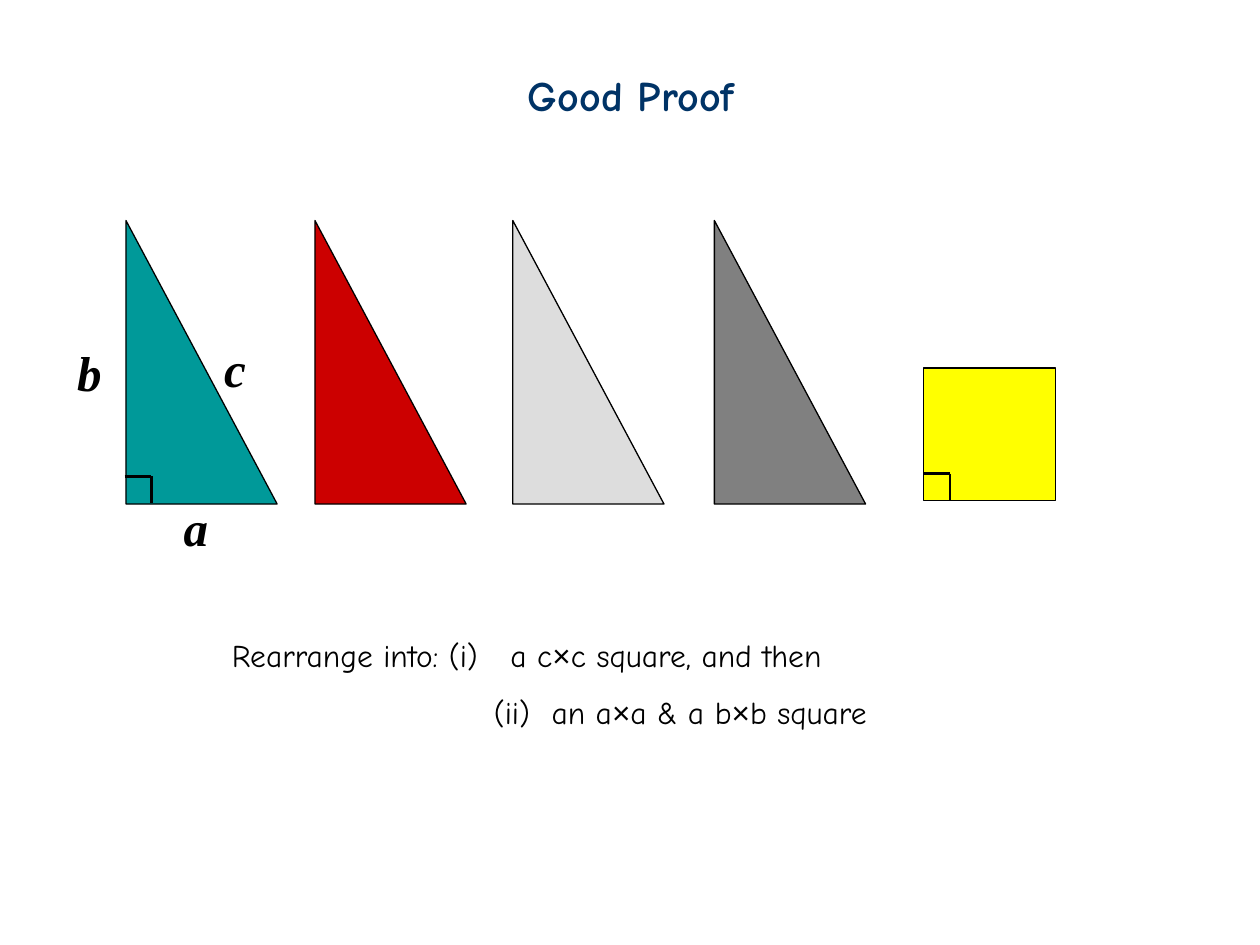
from lxml import etree
from pptx import Presentation
from pptx.dml.color import RGBColor
from pptx.enum.shapes import MSO_CONNECTOR, MSO_SHAPE
from pptx.enum.text import MSO_ANCHOR, MSO_AUTO_SIZE, PP_ALIGN
from pptx.oxml.ns import qn
from pptx.util import Inches, Pt

LINE = MSO_CONNECTOR.STRAIGHT
TRI, RECT = MSO_SHAPE.RIGHT_TRIANGLE, MSO_SHAPE.RECTANGLE
LEFT, CENTER = PP_ALIGN.LEFT, PP_ALIGN.CENTER
TOP, FIXED = MSO_ANCHOR.TOP, MSO_AUTO_SIZE.NONE

COLORS = {
    "ink": "000000", "title": "003366", "teal": "009999", "red": "CC0000",
    "light": "DDDDDD", "dark": "808080", "yellow": "FFFF00",
}
BODY_FONT, MATH_FONT, SIGN_FONT = "Comic Neue", "Times New Roman", "Arial"


def color(name):
    return RGBColor.from_string(COLORS[name])


def place(shape, x, y, w, h):
    shape.left, shape.top = Inches(x), Inches(y)
    shape.width, shape.height = Inches(w), Inches(h)


def write(par, text, *, size=18, font=BODY_FONT, ink="ink", bold=False,
          italic=False, align=LEFT, spacing=1.0, gap=0):
    """Add text to a paragraph; gap is extra letter spacing in points."""
    par.alignment, par.line_spacing = align, spacing
    par.space_before = Pt(0)
    for i, part in enumerate(text.split("×")):
        pairs = [("×", SIGN_FONT)] if i else []
        for word, face in pairs + [(part, font)]:
            run = par.add_run()
            run.text = word
            run.font.name, run.font.size = face, Pt(size)
            run.font.bold, run.font.italic = bold, italic
            run.font.color.rgb = color(ink)
            if gap:
                run._r.get_or_add_rPr().set("spc", str(round(gap * 100)))


def add_step(par, mark, text, *, margin, gap, spacing):
    """Write a step whose text stands a set gap after its mark."""
    write(par, mark, spacing=spacing)
    write(par, " ", gap=gap, spacing=spacing)
    write(par, text, spacing=spacing)
    props = par._p.get_or_add_pPr()
    props.set("marL", str(Inches(margin)))
    props.set("indent", "0")
    etree.SubElement(props, qn("a:buNone"))


def add_frame(shape, wrap):
    frame = shape.text_frame
    frame.auto_size, frame.vertical_anchor = FIXED, TOP
    frame.word_wrap = wrap
    return frame


def add_label(slide, text, x, y, w):
    box = slide.shapes.add_textbox(Inches(x), Inches(y), Inches(w), Inches(0.57))
    frame = add_frame(box, False)
    write(frame.paragraphs[0], text, size=28, font=MATH_FONT,
          bold=True, italic=True, align=CENTER)


def add_block(shapes, kind, x, y, w, h, fill):
    block = shapes.add_shape(kind, Inches(x), Inches(y), Inches(w), Inches(h))
    block.shadow.inherit = False
    block.fill.solid()
    block.fill.fore_color.rgb = color(fill)
    block.line.color.rgb = color("ink")
    block.line.width = Pt(0.75)


def add_line(shapes, *ends):
    line = shapes.add_connector(LINE, *map(Inches, ends))
    line.line.color.rgb = color("ink")
    line.line.width = Pt(1.5)
    etree.SubElement(line._element.spPr, qn("a:effectLst"))


def add_mark(shapes, x, y, side=0.21):
    """Draw a right-angle mark from its top left corner."""
    add_line(shapes, x, y, x + side, y)
    add_line(shapes, x + side, y, x + side, y + side)


def main():
    prs = Presentation()
    prs.slide_width, prs.slide_height = Inches(10), Inches(7.5)
    slide = prs.slides.add_slide(prs.slide_layouts[1])
    title, body = slide.placeholders

    # Title
    place(title, 4.09, 0.5, 1.84, 0.5)
    write(add_frame(title, False).paragraphs[0], "Good Proof",
          size=24, ink="title", bold=True)

    # Triangles and their side labels
    for x, fill in ((1, "teal"), (2.5, "red"), (4.07, "light"), (5.67, "dark")):
        add_block(slide.shapes, TRI, x, 1.75, 1.2, 2.25, fill)
    add_mark(slide.shapes.add_group_shape().shapes, 0.99, 3.78)
    for text, x, y, w in (("c", 1.68, 2.64, 0.37), ("b", 0.5, 2.67, 0.42),
                          ("a", 1.36, 3.9, 0.39)):
        add_label(slide, text, x, y, w)

    # Square with its right angle
    square = slide.shapes.add_group_shape().shapes
    add_block(square, RECT, 7.33, 2.92, 1.05, 1.05, "yellow")
    add_mark(square, 7.33, 3.76)

    # Task in two steps
    place(body, 1.74, 5, 6.52, 0.85)
    frame = add_frame(body, True)
    add_step(frame.paragraphs[0], "Rearrange into: (i)",
             "a c×c square, and then", margin=0, gap=12.6, spacing=1.0)
    add_step(frame.add_paragraph(), "(ii)", "an a×a & a b×b square",
             margin=2.08, gap=6.3, spacing=1.5)

    prs.save("out.pptx")


if __name__ == "__main__":
    main()
